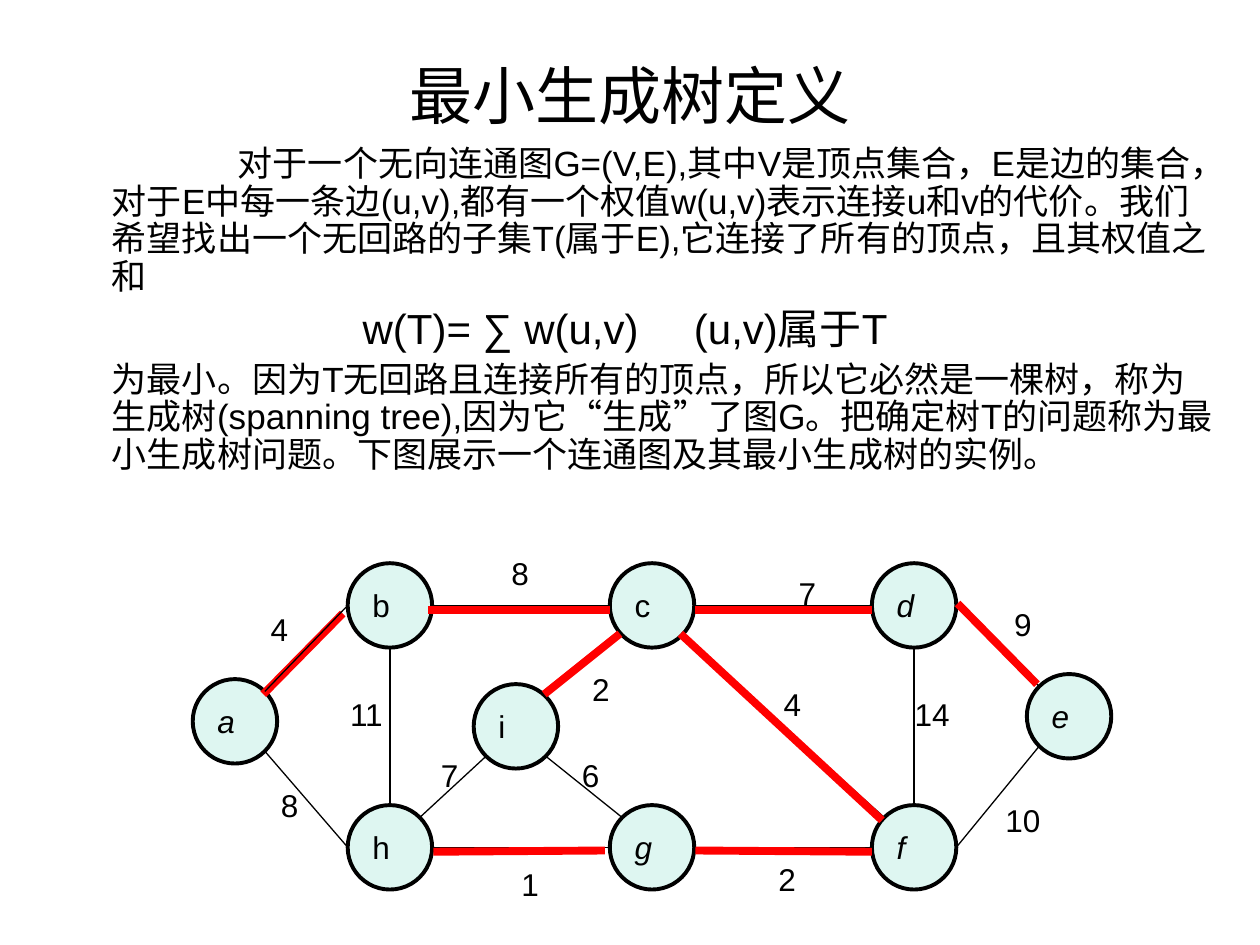
import math
from dataclasses import dataclass
from typing import Optional

import pptx
import pptx.dml.color
import pptx.enum.shapes
import pptx.enum.text
import pptx.oxml.ns
import pptx.util
from lxml import etree

Inches = pptx.util.Inches
Pt = pptx.util.Pt
qn = pptx.oxml.ns.qn
PP_ALIGN = pptx.enum.text.PP_ALIGN
ANCHOR = pptx.enum.text.MSO_ANCHOR


@dataclass(frozen=True)
class Theme:
    font: str = "Arial"
    ink: str = "000000"
    node: str = "DEF6F1"
    tree: str = "FF0000"
    title: int = 36
    formula: int = 24
    body: int = 20
    label: int = 18
    outline: float = 2.25
    thin: float = 0.75
    thick: float = 4.5


@dataclass(frozen=True)
class Node:
    name: str
    x: float
    y: float
    italic: bool = False


@dataclass(frozen=True)
class Edge:
    start: str
    start_side: str
    end: str
    end_side: str


@dataclass(frozen=True)
class Segment:
    x1: float
    y1: float
    x2: float
    y2: float


@dataclass(frozen=True)
class Weight:
    text: str
    x: float
    y: float
    width: float = 0.32


@dataclass(frozen=True)
class Para:
    text: str
    size: int
    margin: float = 0.38
    indent: float = 0
    before: int = 0
    tab: Optional[float] = None


THEME = Theme()
DIAMETER = 0.67
ANGLES = {"E": 0, "SE": 45, "S": 90, "SW": 135, "W": 180, "NW": 225, "N": 270, "NE": 315}

# Rows and columns shared by the graph's nodes
TOP, BOTTOM = 4.47, 6.39
COL_BH, COL_CG, COL_DF = 2.76, 4.84, 6.92

NODES = [
    Node("a", 1.53, 5.39, True),
    Node("b", COL_BH, TOP),
    Node("c", COL_CG, TOP),
    Node("d", COL_DF, TOP, True),
    Node("e", 8.15, 5.35, True),
    Node("f", COL_DF, BOTTOM, True),
    Node("g", COL_CG, BOTTOM, True),
    Node("h", COL_BH, BOTTOM),
    Node("i", 3.76, 5.43),
]
EDGES = [
    Edge("b", "W", "a", "NE"), Edge("c", "W", "b", "E"), Edge("h", "W", "a", "SE"),
    Edge("c", "E", "d", "W"), Edge("h", "E", "g", "W"), Edge("c", "SW", "i", "NE"),
    Edge("i", "SW", "h", "NE"), Edge("b", "S", "h", "N"), Edge("d", "E", "e", "NW"),
    Edge("g", "E", "f", "W"), Edge("d", "S", "f", "N"), Edge("c", "SE", "f", "NW"),
    Edge("i", "SE", "g", "NW"), Edge("e", "SW", "f", "E"),
]
# Tree edges lie slightly beside the thin edges; a-b lies beneath its thin edge
TREE_BELOW = [Segment(2.09, 5.51, 2.72, 4.87)]
TREE_ABOVE = [
    Segment(3.4, 4.84, 4.84, 4.84), Segment(4.32, 5.51, 4.92, 5.03),
    Segment(3.44, 6.76, 4.8, 6.75), Segment(5.52, 4.84, 6.92, 4.84),
    Segment(5.4, 5.03, 7, 6.51), Segment(5.52, 6.75, 6.92, 6.76),
    Segment(7.6, 4.79, 8.23, 5.43),
]
WEIGHTS = [
    Weight("4", 2.05, 4.79), Weight("8", 3.96, 4.35), Weight("8", 2.13, 6.19),
    Weight("1", 4.04, 6.82), Weight("2", 6.08, 6.78), Weight("4", 6.12, 5.39),
    Weight("14", 7.16, 5.47, 0.52), Weight("7", 6.24, 4.51), Weight("9", 7.95, 4.75),
    Weight("10", 7.88, 6.31, 0.48), Weight("6", 4.52, 5.95), Weight("7", 3.4, 5.95),
    Weight("2", 4.6, 5.27), Weight("11", 2.68, 5.47, 0.48),
]
BODY = [
    Para("对于一个无向连通图G=(V,E),其中V是顶点集合，E是边的集合，对于E中每一条边(u,v),"
         "都有一个权值w(u,v)表示连接u和v的代价。我们希望找出一个无回路的子集T(属于E),"
         "它连接了所有的顶点，且其权值之和", THEME.body, indent=1),
    Para("w(T)= ∑ w(u,v)\t(u,v)属于T", THEME.formula, margin=0, indent=2.37, before=6, tab=5.86),
    Para("为最小。因为T无回路且连接所有的顶点，所以它必然是一棵树，称为生成树(spanning tree),"
         "因为它“生成”了图G。把确定树T的问题称为最小生成树问题。"
         "下图展示一个连通图及其最小生成树的实例。", THEME.body, before=5),
]


def rgb(value: str) -> pptx.dml.color.RGBColor:
    return pptx.dml.color.RGBColor.from_string(value)


def add_run(p, text: str, size: int, italic: bool = False) -> None:
    r = p.add_run()
    r.text = text
    r.font.name = THEME.font
    r.font.size = Pt(size)
    r.font.italic = italic
    r.font.color.rgb = rgb(THEME.ink)


def add_text_frame(s, x: float, y: float, w: float, h: float):
    tf = s.shapes.add_textbox(Inches(x), Inches(y), Inches(w), Inches(h)).text_frame
    tf.word_wrap = True
    return tf


def draw_body(s) -> None:
    tf = add_text_frame(s, 0.41, 1.11, 9.34, 2.76)
    for n, para in enumerate(BODY):
        p = tf.add_paragraph() if n else tf.paragraphs[0]
        p.line_spacing = 0.9
        p.space_before = Pt(para.before)
        pPr = p._p.get_or_add_pPr()
        pPr.set("marL", str(Inches(para.margin)))
        pPr.set("indent", str(Inches(para.indent)))
        if para.tab is not None:
            tabs = etree.SubElement(pPr, qn("a:tabLst"))
            etree.SubElement(tabs, qn("a:tab"), pos=str(Inches(para.tab)), algn="l")
        add_run(p, para.text, para.size)


def draw_node(s, node: Node) -> None:
    sp = s.shapes.add_shape(pptx.enum.shapes.MSO_SHAPE.OVAL, Inches(node.x), Inches(node.y),
                            Inches(DIAMETER), Inches(DIAMETER))
    sp.shadow.inherit = False
    sp.fill.solid()
    sp.fill.fore_color.rgb = rgb(THEME.node)
    sp.line.color.rgb = rgb(THEME.ink)
    sp.line.width = Pt(THEME.outline)
    tf = sp.text_frame
    tf.word_wrap = False
    tf.vertical_anchor = ANCHOR.MIDDLE
    p = tf.paragraphs[0]
    p.alignment = PP_ALIGN.LEFT
    add_run(p, node.name, THEME.label, node.italic)


def draw_line(s, seg: Segment, color: str, width: float) -> None:
    line = s.shapes.add_connector(pptx.enum.shapes.MSO_CONNECTOR.STRAIGHT, Inches(seg.x1),
                                  Inches(seg.y1), Inches(seg.x2), Inches(seg.y2))
    line.line.color.rgb = rgb(color)
    line.line.width = Pt(width)
    etree.SubElement(line._element.spPr, qn("a:effectLst"))


def rim_point(node: Node, side: str) -> tuple[float, float]:
    angle, radius = math.radians(ANGLES[side]), DIAMETER / 2
    return (node.x + radius * (1 + math.cos(angle)), node.y + radius * (1 + math.sin(angle)))


def main() -> None:
    prs = pptx.Presentation()
    prs.slide_width, prs.slide_height = Inches(10), Inches(7.5)
    s = prs.slides.add_slide(prs.slide_layouts[6])

    # Title
    tf = add_text_frame(s, 0.5, 0.3, 9, 0.89)
    tf.vertical_anchor = ANCHOR.MIDDLE
    tf.paragraphs[0].alignment = PP_ALIGN.CENTER
    add_run(tf.paragraphs[0], "最小生成树定义", THEME.title)

    # Graph
    for node in NODES:
        draw_node(s, node)
    for seg in TREE_BELOW:
        draw_line(s, seg, THEME.tree, THEME.thick)
    by_name = {node.name: node for node in NODES}
    for edge in EDGES:
        seg = Segment(*rim_point(by_name[edge.start], edge.start_side),
                      *rim_point(by_name[edge.end], edge.end_side))
        draw_line(s, seg, THEME.ink, THEME.thin)
    for weight in WEIGHTS:
        tf = add_text_frame(s, weight.x, weight.y, weight.width, 0.4)
        add_run(tf.paragraphs[0], weight.text, THEME.label)
    for seg in TREE_ABOVE:
        draw_line(s, seg, THEME.tree, THEME.thick)

    # Definition
    draw_body(s)
    prs.save("out.pptx")


if __name__ == "__main__":
    main()
